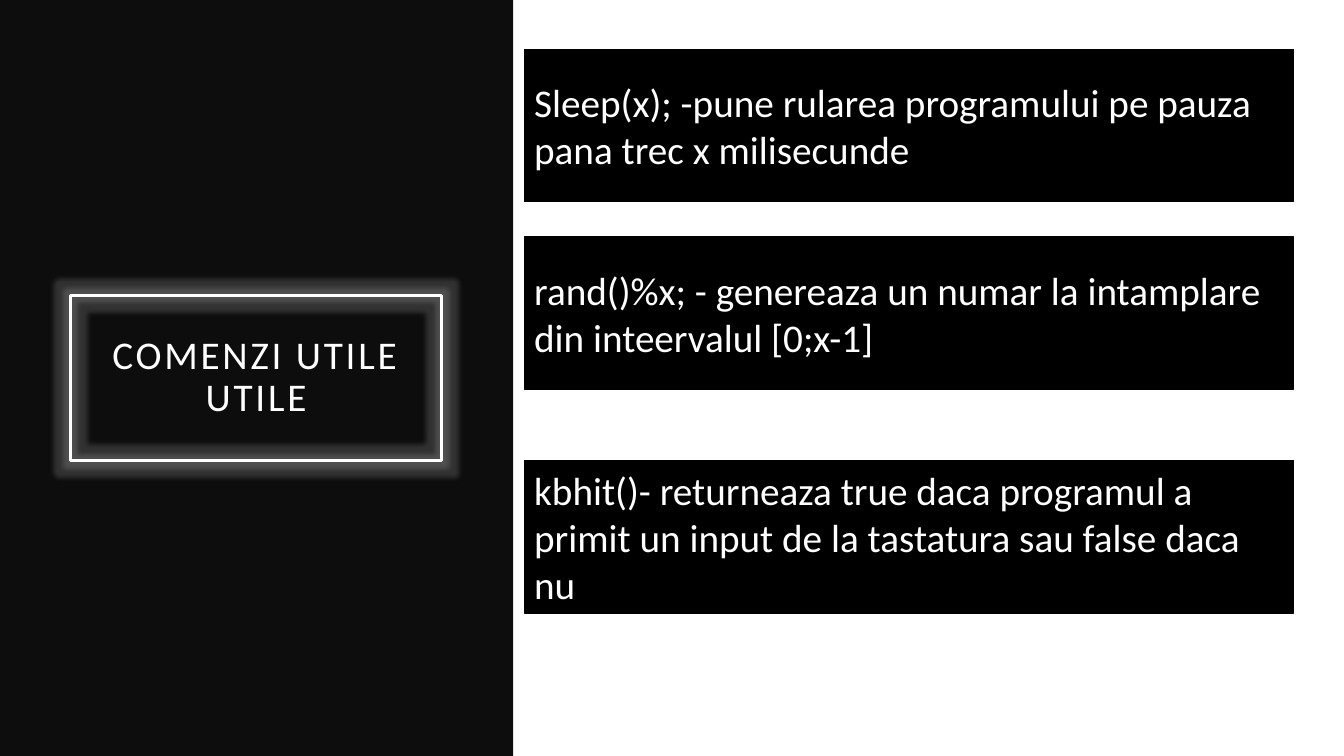
from lxml import etree
from pptx import Presentation
from pptx.dml.color import RGBColor
from pptx.enum.shapes import MSO_SHAPE
from pptx.enum.text import MSO_ANCHOR, PP_ALIGN
from pptx.oxml.ns import qn
from pptx.util import Inches, Pt

RECTANGLE = MSO_SHAPE.RECTANGLE
MIDDLE = MSO_ANCHOR.MIDDLE
LEFT, CENTER = PP_ALIGN.LEFT, PP_ALIGN.CENTER

WHITE, BLACK, CHARCOAL = "FFFFFF", "000000", "0D0D0D"


def color(hex_string):
    return RGBColor.from_string(hex_string)


def add_box(left, top, width, height, text="", fill=None, line=None, line_width=1,
            align=LEFT, line_spacing=None, inset=None, tracking=None):
    """Add a rectangle with optional text; tracking is letter spacing in points."""
    box = slide.shapes.add_shape(
        RECTANGLE, Inches(left), Inches(top), Inches(width), Inches(height))
    box.shadow.inherit = False
    if fill:
        box.fill.solid()
        box.fill.fore_color.rgb = color(fill)
    else:
        box.fill.background()
    if line:
        box.line.color.rgb = color(line)
        box.line.width = Pt(line_width)
    else:
        box.line.fill.background()
    if text:
        frame = box.text_frame
        frame.word_wrap = True
        frame.vertical_anchor = MIDDLE
        if inset is not None:
            frame.margin_left = frame.margin_right = Inches(inset)
            frame.margin_top = frame.margin_bottom = Inches(inset)
        para = frame.paragraphs[0]
        para.alignment = align
        para.line_spacing = line_spacing
        span = para.add_run()
        span.text = text
        span.font.name = "Calibri"
        span.font.size = Pt(28)
        span.font.color.rgb = color(WHITE)
        if tracking:
            span.font._element.set("spc", str(tracking * 100))
    return box


deck = Presentation()
deck.slide_width = Inches(13.33)
deck.slide_height = Inches(7.5)
slide = deck.slides.add_slide(deck.slide_layouts[6])
slide.background.fill.solid()
slide.background.fill.fore_color.rgb = color(WHITE)

# Left panel with the glowing title frame
add_box(0, 0, 5.09, 7.5, fill=CHARCOAL)
title = add_box(0.7, 2.93, 3.68, 1.64, "COMENZI UTILE UTILE", line=WHITE, line_width=2.5,
                align=CENTER, line_spacing=0.9, inset=0.2, tracking=2)
effects = title._element.spPr.find(qn("a:effectLst"))
glow = etree.SubElement(effects, qn("a:glow"), rad=str(Inches(0.1)))
glow_color = etree.SubElement(glow, qn("a:srgbClr"), val=WHITE)
etree.SubElement(glow_color, qn("a:alpha"), val="15000")

# One card per command
commands = [
    (0.49, "Sleep(x); -pune rularea programului pe pauza pana trec x milisecunde"),
    (2.35, "rand()%x; - genereaza un numar la intamplare din inteervalul [0;x-1]"),
    (4.57, "kbhit()- returneaza true daca programul a primit un input de la tastatura "
           "sau false daca nu"),
]
for top, description in commands:
    add_box(5.2, top, 7.63, 1.51, description, fill=BLACK, line=BLACK)

deck.save("out.pptx")
